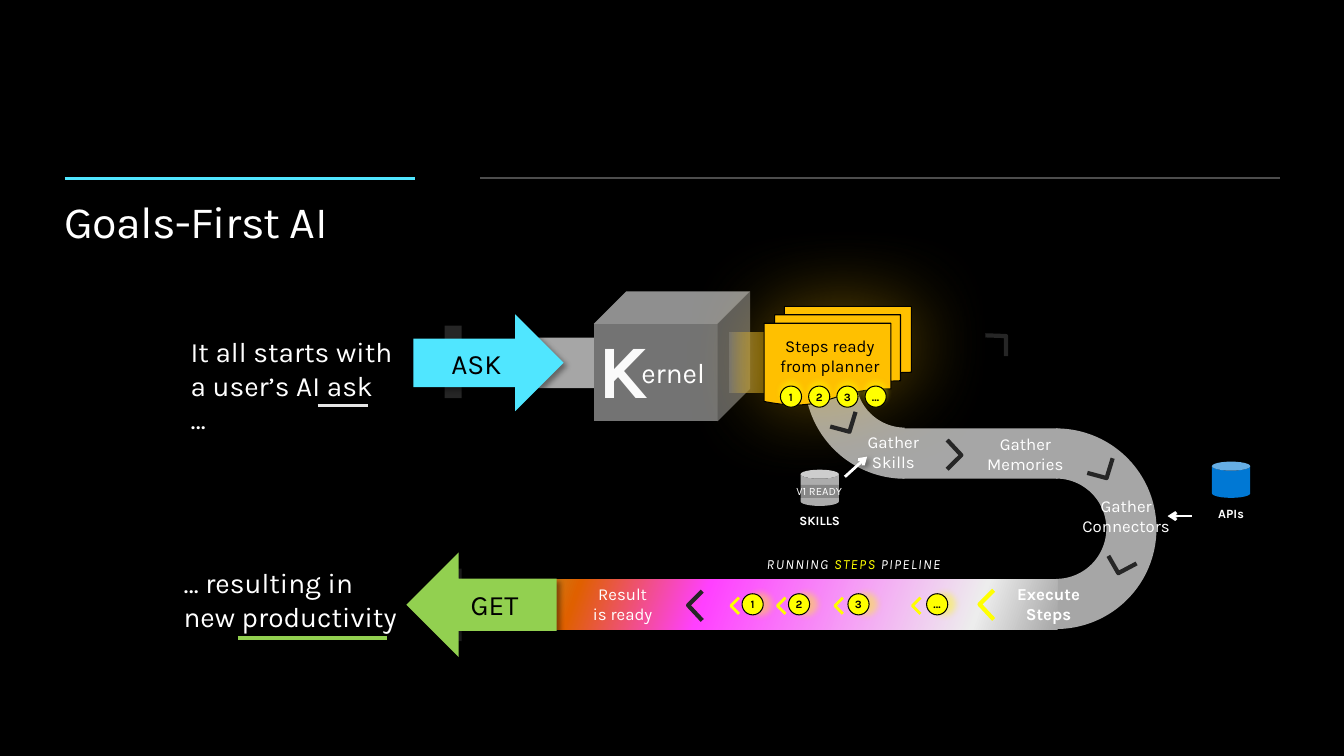
"""Build the Goals-First AI slide."""
from dataclasses import dataclass
from typing import Optional, Union

from lxml.etree import SubElement
from pptx import Presentation
from pptx.dml.color import RGBColor
from pptx.enum.shapes import MSO_CONNECTOR, MSO_SHAPE
from pptx.enum.text import MSO_ANCHOR, PP_ALIGN
from pptx.oxml.ns import qn
from pptx.util import Pt

PX = 9144
RECT, OVAL, CUBE, CAN = MSO_SHAPE.RECTANGLE, MSO_SHAPE.OVAL, MSO_SHAPE.CUBE, MSO_SHAPE.CAN
ARC, ARROW, PAGES = MSO_SHAPE.BLOCK_ARC, MSO_SHAPE.RIGHT_ARROW, MSO_SHAPE.FLOWCHART_MULTIDOCUMENT
STRAIGHT = MSO_CONNECTOR.STRAIGHT
LEFT, CENTER = PP_ALIGN.LEFT, PP_ALIGN.CENTER
TOP, MIDDLE = MSO_ANCHOR.TOP, MSO_ANCHOR.MIDDLE


@dataclass(frozen=True)
class Theme:
    font: str = "Karla"
    black: str = "000000"
    white: str = "FFFFFF"
    cyan: str = "50E6FF"
    green: str = "92D050"
    gold: str = "FFC000"
    yellow: str = "FFFF00"
    pink: str = "FF40FF"
    orange: str = "E06000"
    blue: str = "0078D4"
    dark: str = "262626"
    rule: str = "4D4D4D"
    steel: str = "737373"
    road: str = "A6A6A6"
    metal: str = "ACACAC"
    pale: str = "E6E6E6"
    mist: str = "EDEDED"
    snow: str = "FAFAFA"
    title: int = 32
    giant: int = 54
    big: int = 20
    label: int = 12
    small: int = 10
    tag: int = 9
    tiny: int = 8


T = Theme()


@dataclass(frozen=True)
class Shade:
    hue: str
    alpha: int
    blur: float
    dist: float
    turn: int


@dataclass(frozen=True)
class Words:
    bits: tuple[tuple[str, str], ...]
    size: int
    bold: bool = False
    slant: bool = False
    align: PP_ALIGN = CENTER
    gap: float = 0
    inset: int = 0
    wrap: bool = True


@dataclass(frozen=True)
class Note:
    box: tuple[int, int, int, int]
    words: Words


@dataclass(frozen=True)
class Block:
    box: tuple[int, int, int, int]
    kind: MSO_SHAPE
    fill: Union[str, tuple[tuple[int, str, int], ...]]
    alpha: int = 100
    slope: int = 0
    edge: Optional[str] = None
    shade: Optional[Shade] = None
    words: Optional[Words] = None
    turn: int = 0
    flip: str = ""
    adjust: tuple[float, ...] = ()


@dataclass(frozen=True)
class Rule:
    ends: tuple[int, int, int, int]
    hue: str
    width: float
    head: bool = False
    shade: Optional[Shade] = None


@dataclass(frozen=True)
class Hook:
    left: int
    top: int
    span: int
    turn: int
    hue: str = T.dark
    width: int = 3


Item = Union[Note, Block, Rule, Hook]


def tint(node, hue: str, alpha: int) -> None:
    clr = SubElement(node, qn("a:srgbClr"), val=hue)
    if alpha < 100:
        SubElement(clr, qn("a:alpha"), val=str(alpha * 1000))


def cast(node, shade: Optional[Shade]) -> None:
    if shade:
        drop = SubElement(node, qn("a:outerShdw"), blurRad=str(Pt(shade.blur)),
                          dist=str(Pt(shade.dist)), dir=str(shade.turn * 60000),
                          algn="ctr", rotWithShape="0")
        tint(drop, shade.hue, shade.alpha)


def write(frame, words: Words, anchor: MSO_ANCHOR) -> None:
    frame.word_wrap = words.wrap
    frame.vertical_anchor = anchor
    frame.margin_left = words.inset * PX
    frame.margin_top = frame.margin_right = frame.margin_bottom = 0
    para = frame.paragraphs[0]
    para.alignment = words.align
    for text, hue in words.bits:
        for i, piece in enumerate(text.split("\n")):
            if i:
                para.add_line_break()
            run = para.add_run()
            run.text = piece
            font = run.font
            font.name, font.size = T.font, Pt(words.size)
            font.bold, font.italic = words.bold, words.slant
            font.color.rgb = RGBColor.from_string(hue)
            if words.gap:
                run._r.get_or_add_rPr().set("spc", str(int(words.gap * 100)))


def draw_note(slide, note: Note) -> None:
    box = slide.shapes.add_textbox(*(n * PX for n in note.box))
    write(box.text_frame, note.words, TOP)


def draw_block(slide, block: Block) -> None:
    shape = slide.shapes.add_shape(block.kind, *(n * PX for n in block.box))
    props = shape._element.spPr
    for i, value in enumerate(block.adjust):
        shape.adjustments[i] = value
    shape.rotation = block.turn
    for axis in block.flip:
        props.find(qn("a:xfrm")).set("flip" + axis, "1")
    if isinstance(block.fill, str):
        shape.fill.solid()
        shape.fill.fore_color.rgb = RGBColor.from_string(block.fill)
        if block.alpha < 100:
            clr = props.find(qn("a:solidFill"))[0]
            SubElement(clr, qn("a:alpha"), val=str(block.alpha * 1000))
    else:
        shape.fill.gradient()
        shape.fill.gradient_angle = -block.slope % 360
        stops = props.find(qn("a:gradFill")).find(qn("a:gsLst"))
        stops.clear()
        for pos, hue, alpha in block.fill:
            tint(SubElement(stops, qn("a:gs"), pos=str(pos * 1000)), hue, alpha)
    if block.edge:
        shape.line.color.rgb = RGBColor.from_string(block.edge)
        shape.line.width = Pt(0.75)
    else:
        shape.line.fill.background()
    shape.shadow.inherit = False
    cast(props.find(qn("a:effectLst")), block.shade)
    if block.words:
        write(shape.text_frame, block.words, MIDDLE)


def draw_rule(slide, rule: Rule) -> None:
    line = slide.shapes.add_connector(STRAIGHT, *(n * PX for n in rule.ends))
    line.line.color.rgb = RGBColor.from_string(rule.hue)
    line.line.width = Pt(rule.width)
    if rule.head:
        SubElement(line.line._get_or_add_ln(), qn("a:tailEnd"), type="arrow")
    cast(SubElement(line._element.spPr, qn("a:effectLst")), rule.shade)


def draw_hook(slide, hook: Hook) -> None:
    half = hook.span // 2
    pen = slide.shapes.build_freeform(hook.left, hook.top, scale=PX)
    pen.add_line_segments([(hook.left + half, hook.top + half),
                           (hook.left + hook.span, hook.top)], close=False)
    shape = pen.convert_to_shape()
    shape.rotation = hook.turn
    shape.fill.background()
    shape.line.color.rgb = RGBColor.from_string(hook.hue)
    shape.line.width = Pt(hook.width)
    shape.shadow.inherit = False


def say(text: str, size: int = T.label, hue: str = T.white, **more) -> Words:
    return Words(((text, hue),), size, **more)


def disc(left: int, top: int, mark: str, shade: Shade) -> Block:
    return Block((left, top, 21, 21), OVAL, T.yellow, edge=T.black, shade=shade,
                 words=say(mark, T.tiny, T.black, bold=True))


MARKS = "123…"
DROP = Shade(T.black, 40, 4, 3, 45)
RISE = Shade(T.yellow, 40, 4, 3, 270)
TRAIL = Shade(T.yellow, 40, 4.5, 5.2, 0)
FLOW = ((0, T.road, 100), (14, T.mist, 100), (59, T.pink, 100),
        (80, T.orange, 100), (100, T.green, 100))
FADE = ((0, T.steel, 100), (100, T.gold, 33))
RUN = Words((("RUNNING ", T.white), ("STEPS", T.yellow), (" PIPELINE", T.white)),
            T.small, slant=True, gap=1)

ITEMS: list[Item] = [
    Rule((64, 177, 412, 177), T.cyan, 2.25),
    Rule((476, 177, 1270, 177), T.rule, 1.5),
    *(Block((441, top, 17, 72), RECT, T.dark) for top in (323, 564)),
    Block((895, 425, 154, 50), RECT, T.road),
    Block((798, 276, 199, 199), ARC, T.road, turn=90, flip="HV",
          adjust=(108.16, 161.99, 0.255)),
    Block((948, 425, 199, 199), ARC, T.road, turn=90),
    Block((526, 335, 92, 50), RECT, T.road),
    Block((589, 289, 155, 129), CUBE, T.steel,
          words=say("ernel", T.big, align=LEFT, inset=47)),
    Note((584, 320, 69, 91), say("K", T.giant, T.snow, bold=True, wrap=False)),
    Block((724, 330, 40, 59), RECT, FADE),
    Block((758, 304, 146, 98), PAGES, T.gold, edge=T.black,
          shade=Shade(T.gold, 40, 60.8, 0, 0)),
    Note((764, 333, 118, 40), say("Steps ready\nfrom planner", hue=T.black)),
    *(disc(774 + 28 * i, 383, mark, RISE) for i, mark in enumerate(MARKS)),
    Block((454, 575, 595, 50), RECT, FLOW, slope=200),
    Note((738, 551, 217, 17), RUN),
    Note((573, 579, 89, 40), say("Result\nis ready")),
    Hook(675, 594, 29, 90),
    *(disc(left, 589, mark, TRAIL) for left, mark in zip((736, 782, 841, 919), MARKS)),
    Hook(964, 593, 29, 90, T.yellow),
    Note((1000, 579, 80, 40), say("Execute Steps", bold=True)),
    *(Hook(left, 597, 16, 90, T.yellow, 2) for left in (721, 767, 824, 901)),
    Note((1182, 502, 78, 15), say("APIs", T.tag, bold=True)),
    Note((1070, 492, 94, 40), say("Gather\nConnectors")),
    Hook(1097, 555, 29, 15),
    Rule((1182, 512, 1158, 512), T.white, 2, True, DROP),
    Block((1202, 458, 38, 36), CAN, T.blue),
    Note((857, 428, 58, 40), say("Gather\nSkills")),
    Hook(825, 415, 29, 330),
    Hook(932, 444, 29, 270),
    Block((794, 466, 38, 36), CAN, T.metal),
    Note((774, 509, 78, 15), say("SKILLS", T.tag, bold=True)),
    Rule((838, 473, 860, 453), T.white, 2, True, DROP),
    Block((779, 481, 67, 13), RECT, T.black, alpha=21, words=say("V1 READY", T.tiny)),
    Note((974, 430, 86, 40), say("Gather\nMemories")),
    Hook(978, 331, 29, 225),
    Hook(1080, 461, 29, 330),
    Note((189, 332, 201, 67), say("It all starts with a user’s AI ask …", T.big, align=LEFT)),
    Rule((315, 402, 365, 402), T.pale, 2.25),
    Block((410, 312, 149, 96), ARROW, T.cyan, shade=DROP, words=say("ASK", T.big, T.black)),
    Note((182, 561, 215, 67), say("… resulting in new productivity", T.big, align=LEFT)),
    Rule((236, 633, 384, 633), T.green, 2.25),
    Block((403, 548, 149, 104), ARROW, T.green, flip="H", shade=DROP,
          words=say("GET", T.big, T.black)),
]
DRAW = {Note: draw_note, Block: draw_block, Rule: draw_rule, Hook: draw_hook}


def main() -> None:
    deck = Presentation()
    deck.slide_width, deck.slide_height = 1333 * PX, 750 * PX
    slide = deck.slides.add_slide(deck.slide_layouts[5])
    slide.background.fill.solid()
    slide.background.fill.fore_color.rgb = RGBColor.from_string(T.black)
    title = slide.shapes.title
    title.left, title.top, title.width, title.height = (n * PX for n in (64, 192, 348, 472))
    write(title.text_frame, say("Goals-First AI", T.title, align=LEFT, gap=-0.5), TOP)
    for item in ITEMS:
        DRAW[type(item)](slide, item)
    deck.save("out.pptx")


if __name__ == "__main__":
    main()
